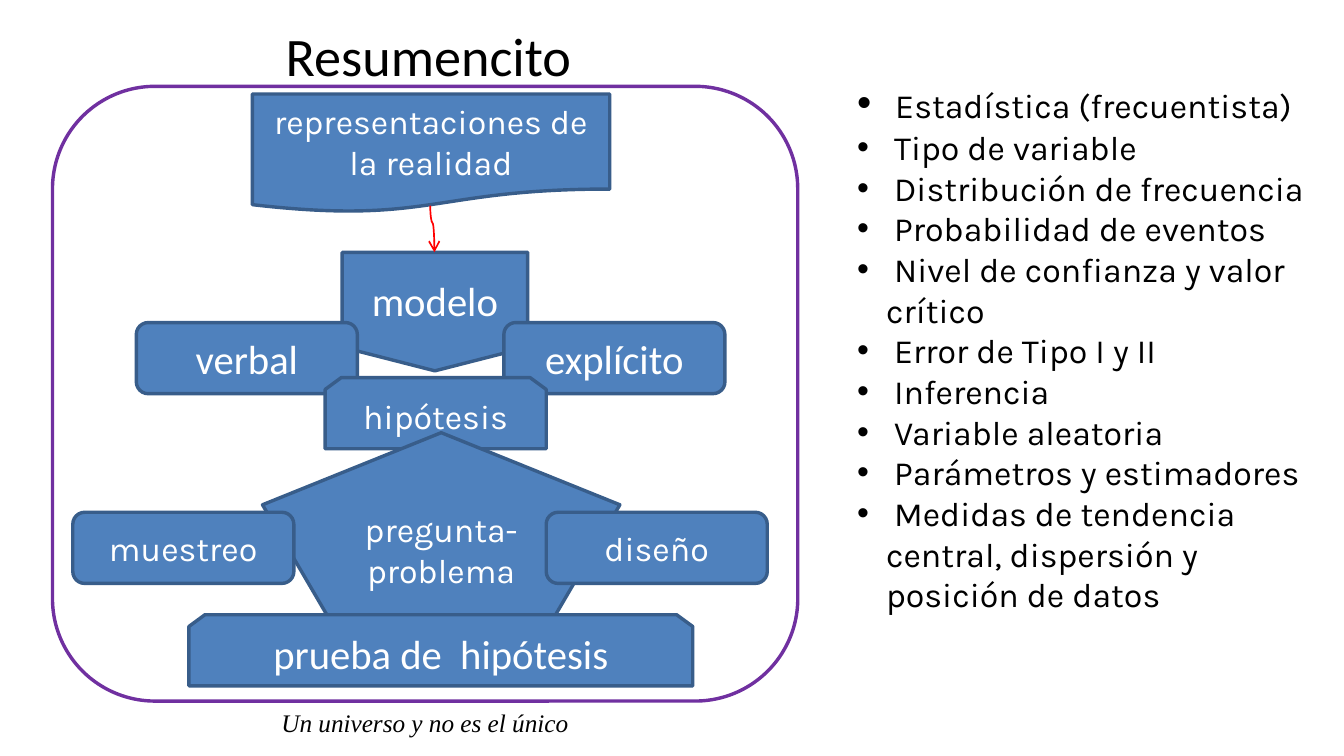
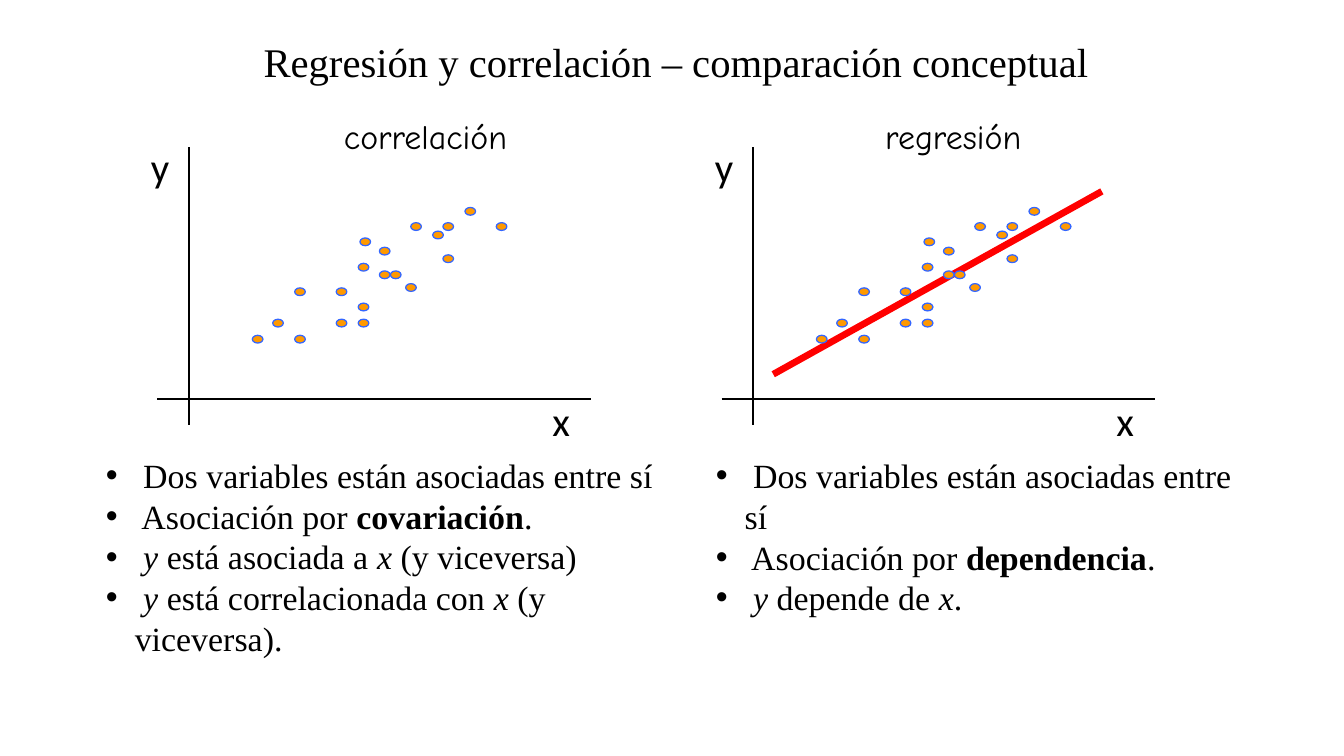
from dataclasses import dataclass

from lxml.etree import SubElement
from pptx import Presentation
from pptx.dml.color import RGBColor
from pptx.enum.shapes import MSO_CONNECTOR, MSO_SHAPE
from pptx.enum.text import MSO_ANCHOR, MSO_AUTO_SIZE, PP_ALIGN
from pptx.oxml.ns import qn
from pptx.util import Pt


@dataclass(frozen=True)
class Theme:
    black: str = "000000"
    white: str = "FFFFFF"
    box_fill: str = "4F81BD"
    box_line: str = "385D8A"
    frame: str = "7030A0"
    red: str = "FF0000"
    dot_fill: str = "FF9900"
    dot_line: str = "3366FF"
    sans: str = "Calibri"
    body: str = "Karla"
    serif: str = "Times New Roman"
    hand: str = "Comic Neue"
    title: float = 32
    large: float = 24
    normal: float = 20
    small: float = 14.9


THEME = Theme()
SANS = {"name": THEME.sans, "size": THEME.large}
BODY = {"name": THEME.body, "size": THEME.normal}
SERIF = {"name": THEME.serif, "size": THEME.normal}
BOLD = {"bold": True}
ITALIC = {"italic": True}

TOPICS = [
    [(" ", SANS), "Estadística (frecuentista)"],
    [" Tipo de variable"],
    [" Distribución de frecuencia"],
    [" Probabilidad de eventos"],
    [" Nivel de confianza y valor crítico"],
    [" Error de Tipo I y II"],
    [" Inferencia"],
    [" Variable aleatoria"],
    [" Parámetros y estimadores"],
    [" Medidas de tendencia central, dispersión y posición de datos"],
]
CORRELATION = [
    [" Dos variables están asociadas entre sí"],
    [" Asociación por ", ("covariación", BOLD), "."],
    [(" y", ITALIC), " está asociada a ", ("x ", ITALIC), "(y viceversa)"],
    [(" y", ITALIC), " está correlacionada con ", ("x ", ITALIC), "(y viceversa)."],
]
REGRESSION = [
    [" Dos variables están asociadas entre sí"],
    [" Asociación por ", ("dependencia", BOLD), "."],
    [(" y", ITALIC), " depende de ", ("x", ITALIC), "."],
]

# Left edge of each dot and height of its top edge, from the crossing of the axes
DOTS = [
    (150, 85), (62.5, 37.5), (119, 75.5), (87, 65.5), (101, 95),
    (100, 47), (62.5, 65.5), (112.5, 75.5), (144, 99), (49.5, 47),
    (131, 104), (163, 113), (181.5, 104), (128, 68), (100, 80),
    (100, 56.5), (150, 104), (112.5, 89.5), (87, 47), (37.5, 37.5),
]
AXIS_Y = 235.5


def points(*lengths):
    return [Pt(length) for length in lengths]


def color(value):
    return RGBColor.from_string(value)


def add_run(paragraph, text, style, ink):
    run = paragraph.add_run()
    run.text = text
    run.font.color.rgb = color(ink)
    for name, value in style.items():
        setattr(run.font, name, Pt(value) if name == "size" else value)


def add_text(slide, box, text, style, align=PP_ALIGN.LEFT):
    """Add a one-line label that does not wrap."""
    frame = slide.shapes.add_textbox(*points(*box)).text_frame
    frame.word_wrap = False
    frame.auto_size = MSO_AUTO_SIZE.SHAPE_TO_FIT_TEXT
    frame.paragraphs[0].alignment = align
    add_run(frame.paragraphs[0], text, style, THEME.black)


def set_bullet(paragraph, indent=17):
    properties = paragraph._p.get_or_add_pPr()
    properties.set("marL", str(Pt(indent)))
    properties.set("indent", str(-Pt(indent)))
    bullet_color = SubElement(properties, qn("a:buClr"))
    SubElement(bullet_color, qn("a:srgbClr"), val=THEME.black)
    SubElement(properties, qn("a:buFont"), typeface="Arial")
    SubElement(properties, qn("a:buChar"), char="•")


def add_bullets(slide, box, items, style):
    """Each item is a list of strings and (string, extra style) pairs."""
    frame = slide.shapes.add_textbox(*points(*box)).text_frame
    frame.word_wrap = True
    for index, item in enumerate(items):
        paragraph = frame.add_paragraph() if index else frame.paragraphs[0]
        set_bullet(paragraph)
        for part in item:
            text, extra = (part, {}) if isinstance(part, str) else part
            add_run(paragraph, text, {**style, **extra}, THEME.black)


def paint(shape, fill, line, width):
    shape.shadow.inherit = False
    if fill:
        shape.fill.solid()
        shape.fill.fore_color.rgb = color(fill)
    else:
        shape.fill.background()
    shape.line.color.rgb = color(line)
    shape.line.width = Pt(width)


def add_shape(slide, kind, box, fill, line, width):
    shape = slide.shapes.add_shape(kind, *points(*box))
    paint(shape, fill, line, width)
    return shape


def write_in(shape, text, style):
    frame = shape.text_frame
    frame.word_wrap = True
    frame.vertical_anchor = MSO_ANCHOR.MIDDLE
    frame.paragraphs[0].alignment = PP_ALIGN.CENTER
    add_run(frame.paragraphs[0], text, style, THEME.white)


def add_concept(slide, kind, box, text, style):
    shape = add_shape(slide, kind, box, THEME.box_fill, THEME.box_line, 2)
    write_in(shape, text, style)


def add_snipped_concept(slide, box, text, style, cut_x=9.5, cut_y=7):
    """Add a concept box whose two upper corners are cut off."""
    left, top, width, height = box
    right, bottom = left + width, top + height
    outline = [
        (left + cut_x, top), (right - cut_x, top), (right, top + cut_y),
        (right, bottom), (left, bottom), (left, top + cut_y),
    ]
    corners = [points(*corner) for corner in outline]
    builder = slide.shapes.build_freeform(*corners[0])
    builder.add_line_segments(corners[1:], close=True)
    shape = builder.convert_to_shape()
    paint(shape, THEME.box_fill, THEME.box_line, 2)
    shape.text_frame.margin_top = Pt(3.6 + cut_y / 2)
    write_in(shape, text, style)


def add_line(slide, start, end, ink, width, kind=MSO_CONNECTOR.STRAIGHT):
    line = slide.shapes.add_connector(kind, *points(*start, *end))
    line.line.color.rgb = color(ink)
    line.line.width = Pt(width)
    SubElement(line._element.spPr, qn("a:effectLst"))
    return line


def add_curved_arrow(slide, start, end):
    """Add a curve that leaves and arrives vertically: a flat one turned by 270 degrees."""
    (x1, y1), (x2, y2) = start, end
    middle_x, middle_y = (x1 + x2) / 2, (y1 + y2) / 2
    half_length, half_shift = (y2 - y1) / 2, (x2 - x1) / 2
    arrow = add_line(
        slide,
        (middle_x + half_length, middle_y - half_shift),
        (middle_x - half_length, middle_y + half_shift),
        THEME.red, 1, MSO_CONNECTOR.CURVE,
    )
    properties = arrow._element.spPr
    properties.find(qn("a:xfrm")).set("rot", str(270 * 60000))
    guides = properties.find(qn("a:prstGeom")).find(qn("a:avLst"))
    SubElement(guides, qn("a:gd"), name="adj1", fmla="val 36200")
    SubElement(properties.find(qn("a:ln")), qn("a:tailEnd"), type="arrow")


def add_scatter(slide, axis_x, with_trend=False):
    add_line(slide, (axis_x, 87), (axis_x, 251), THEME.black, 1.5)
    add_line(slide, (axis_x - 18.5, AXIS_Y), (axis_x + 237.5, AXIS_Y), THEME.black, 1.5)
    if with_trend:
        add_line(slide, (axis_x + 12, AXIS_Y - 14.5), (axis_x + 206, AXIS_Y - 122.5),
                 THEME.red, 4)
    for x, height in DOTS:
        add_shape(slide, MSO_SHAPE.OVAL, (axis_x + x, AXIS_Y - height, 6.3, 4.6),
                  THEME.dot_fill, THEME.dot_line, 0.75)
    add_text(slide, (axis_x - 29.5, 80.5, 25, 36), "y", SANS)
    add_text(slide, (axis_x + 207.5, 230.5, 24.5, 36), "x", SANS)


def build_summary(slide):
    add_text(slide, (161, 9.5, 184, 46), "Resumencito",
             {**SANS, "size": THEME.title}, PP_ALIGN.CENTER)
    rounded = MSO_SHAPE.ROUNDED_RECTANGLE
    small_box = (130.5, 42)
    add_concept(slide, MSO_SHAPE.FLOWCHART_DOCUMENT, (149, 55.5, 211, 70),
                "representaciones de la realidad", BODY)
    add_concept(slide, MSO_SHAPE.FLOWCHART_OFFPAGE_CONNECTOR, (202, 149, 109.5, 70),
                "modelo", SANS)
    for left, text in ((80.5, "verbal"), (297.5, "explícito")):
        add_concept(slide, rounded, (left, 190.5, *small_box), text, SANS)
    add_snipped_concept(slide, (192, 223, *small_box), "hipótesis", BODY)
    add_bullets(slide, (499, 42.5, 282, 324), TOPICS, BODY)
    add_concept(slide, MSO_SHAPE.REGULAR_PENTAGON, (155, 255.5, 211, 111.5),
                "pregunta-problema", BODY)
    add_curved_arrow(slide, (254, 121.5), (256.5, 149))
    for left, text in ((43, "muestreo"), (322.5, "diseño")):
        add_concept(slide, rounded, (left, 302.5, *small_box), text, BODY)
    add_snipped_concept(slide, (111.5, 363, 297.5, 42), "prueba de  hipótesis", SANS)
    add_shape(slide, rounded, (31, 51, 440, 363), None, THEME.frame, 2)
    add_text(slide, (159, 414, 184, 25), "Un universo y no es el único",
             {**SERIF, **ITALIC, "size": THEME.small})


def build_comparison(slide):
    left_axis, right_axis = 111.5, 444.5
    add_scatter(slide, left_axis)
    add_scatter(slide, right_axis, with_trend=True)
    add_text(slide, (148.5, 18.5, 507.5, 36),
             "Regresión y correlación – comparación conceptual",
             {**SERIF, "size": THEME.large})
    hand = {"name": THEME.hand, "size": THEME.normal}
    add_text(slide, (196, 65, 111, 31.5), "correlación", hand)
    add_text(slide, (515.5, 65, 96, 31.5), "regresión", hand)
    add_bullets(slide, (55.5, 265, 341, 127.5), CORRELATION, SERIF)
    add_bullets(slide, (415.5, 265, 335, 79), REGRESSION, SERIF)


def main():
    presentation = Presentation()
    presentation.slide_width, presentation.slide_height = points(793.44, 446.4)
    blank = presentation.slide_layouts[6]
    for build in (build_summary, build_comparison):
        build(presentation.slides.add_slide(blank))
    presentation.save("out.pptx")


if __name__ == "__main__":
    main()
